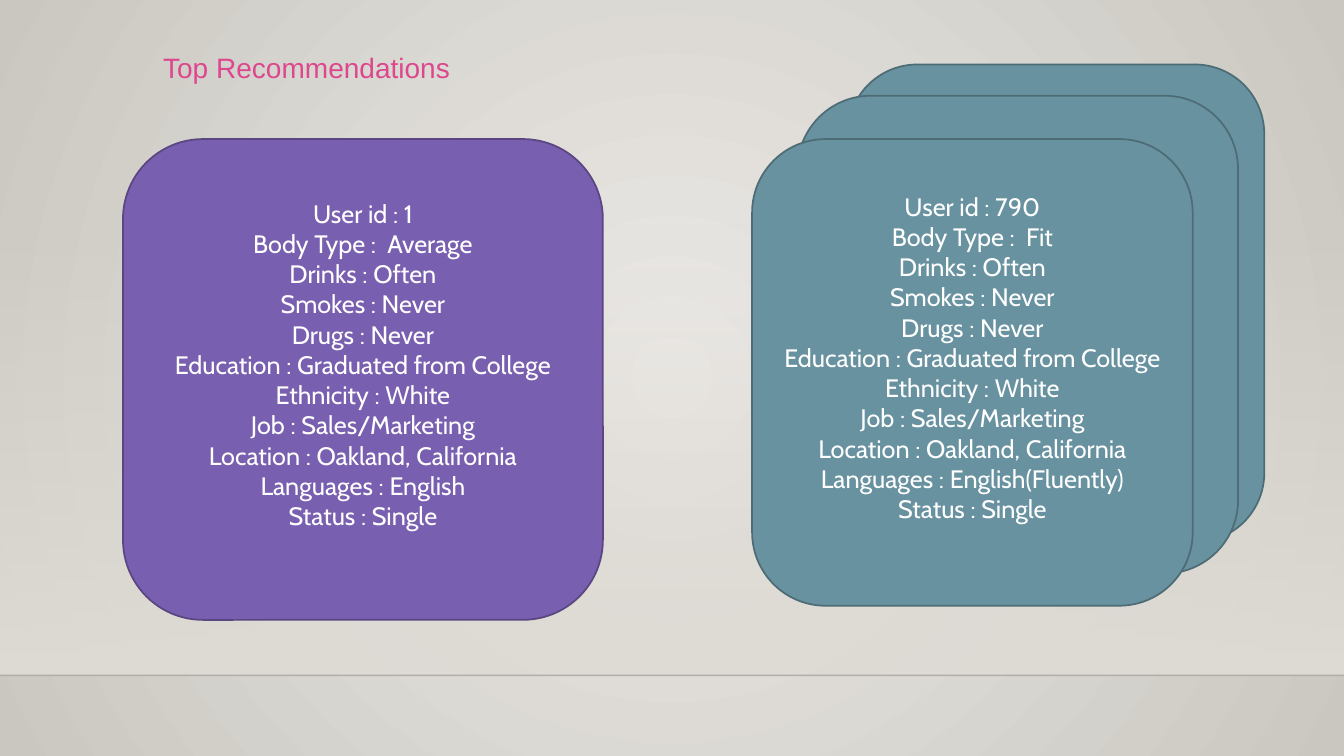
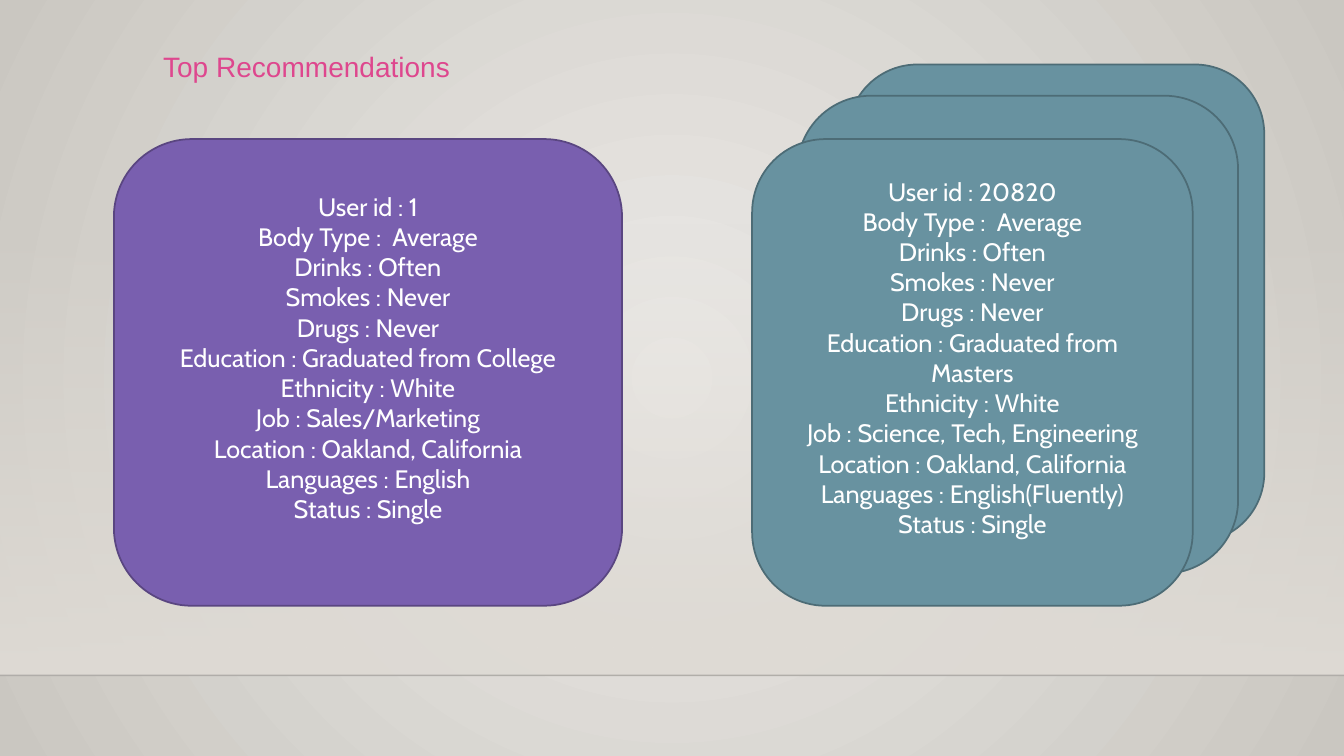
import pptx
import pptx.util
import pptx.dml.color
import pptx.enum.shapes
import pptx.enum.text
import pptx.oxml
import pptx.oxml.ns

Inches = pptx.util.Inches
Pt = pptx.util.Pt
RGBColor = pptx.dml.color.RGBColor
qn = pptx.oxml.ns.qn
MSO_SHAPE = pptx.enum.shapes.MSO_SHAPE

# Shared look
BACKDROP_CENTER = RGBColor(0xEC, 0xEA, 0xE7)
BACKDROP_EDGE = RGBColor(0xCA, 0xC7, 0xC1)
BAND = RGBColor(0xDF, 0xDB, 0xD5)
HORIZON = RGBColor(0x00, 0x00, 0x01)
PINK = RGBColor(0xDE, 0x47, 0x8E)
WHITE = RGBColor(0xFF, 0xFF, 0xFF)
TEAL = RGBColor(0x68, 0x92, 0xA0)
TEAL_EDGE = RGBColor(0x4D, 0x6C, 0x76)
PURPLE = RGBColor(0x79, 0x5F, 0xAF)
PURPLE_EDGE = RGBColor(0x5A, 0x46, 0x81)

SLIDE_WIDTH, SLIDE_HEIGHT = 13.33, 7.5
BAND_TOP, HORIZON_Y = 2.21, 6.7

# Teal cards from back to front: left, top, width, height
CARDS_BEHIND = [(8.41, 0.64, 4.13, 4.74), (7.91, 0.95, 4.37, 4.74)]
FRONT_CARD = (7.46, 1.38, 4.37, 4.63)


def profile(user_id, body="Average", education="College",
            job="Sales/Marketing", languages="English"):
    """Lines of one user's card."""
    return [
        f"User id : {user_id}",
        f"Body Type :  {body}",
        "Drinks : Often",
        "Smokes : Never",
        "Drugs : Never",
        f"Education : Graduated from {education}",
        "Ethnicity : White",
        f"Job : {job}",
        "Location : Oakland, California",
        f"Languages : {languages}",
        "Status : Single",
    ]


def set_gradient(fill, start, end):
    fill.gradient()
    for stop, color in zip(fill.gradient_stops, (start, end)):
        stop.color.rgb = color


def set_alpha(element, percent):
    """Give the first colour inside element an opacity."""
    color = next(element.iter(qn("a:srgbClr")))
    alpha = color.makeelement(qn("a:alpha"), {"val": str(percent * 1000)})
    color.append(alpha)


def set_backdrop(master):
    """Radial gradient behind every slide."""
    set_gradient(master.background.fill, BACKDROP_CENTER, BACKDROP_EDGE)
    gradient = next(master.element.iter(qn("a:gradFill")))
    radial = pptx.oxml.parse_xml(
        f'<a:path {pptx.oxml.ns.nsdecls("a")} path="circle">'
        '<a:fillToRect l="50000" t="50000" r="50000" b="50000"/></a:path>')
    gradient.replace(gradient.find(qn("a:lin")), radial)


def add_floor(slide):
    """Fading band that ends at the horizon line."""
    band = slide.shapes.add_shape(
        MSO_SHAPE.RECTANGLE, 0, Inches(BAND_TOP),
        Inches(SLIDE_WIDTH), Inches(HORIZON_Y - BAND_TOP))
    band.shadow.inherit = False
    band.line.fill.background()
    set_gradient(band.fill, BAND, BAND)
    band.fill.gradient_angle = 270
    set_alpha(band.element, 0)

    horizon = slide.shapes.add_connector(
        pptx.enum.shapes.MSO_CONNECTOR.STRAIGHT,
        0, Inches(HORIZON_Y), Inches(SLIDE_WIDTH), Inches(HORIZON_Y))
    horizon.line.color.rgb = HORIZON
    horizon.line.width = Pt(1)
    set_alpha(horizon.element, 20)
    properties = horizon.element.spPr
    properties.append(properties.makeelement(qn("a:effectLst"), {}))


def style_run(run, font, size, color):
    run.font.name = font
    run.font.size = Pt(size)
    run.font.color.rgb = color


def add_title(slide, text, top):
    title = slide.shapes.add_textbox(
        Inches(1.52), Inches(top), Inches(3.07), Inches(0.44))
    frame = title.text_frame
    frame.word_wrap = False
    frame.auto_size = pptx.enum.text.MSO_AUTO_SIZE.SHAPE_TO_FIT_TEXT
    frame.text = text
    style_run(frame.paragraphs[0].runs[0], "Arial", 20, PINK)


def add_card(slide, box, color, edge, lines=()):
    card = slide.shapes.add_shape(
        MSO_SHAPE.ROUNDED_RECTANGLE, *(Inches(length) for length in box))
    card.shadow.inherit = False
    card.fill.solid()
    card.fill.fore_color.rgb = color
    card.line.color.rgb = edge
    card.line.width = Pt(1.25)
    if not lines:
        return
    frame = card.text_frame
    frame.word_wrap = True
    frame.vertical_anchor = pptx.enum.text.MSO_ANCHOR.MIDDLE
    frame.margin_bottom = Inches(0.35)  # lifts the text by half a line
    frame.text = "\n".join(lines)
    for paragraph in frame.paragraphs:
        paragraph.alignment = pptx.enum.text.PP_ALIGN.CENTER
        style_run(paragraph.runs[0], "Cabin", 18, WHITE)


def add_match_slide(deck, title_top, user_box, match):
    """One user on the left, the recommended match on a stack of cards."""
    slide = deck.slides.add_slide(deck.slide_layouts[6])
    add_floor(slide)
    for box in CARDS_BEHIND:
        add_card(slide, box, TEAL, TEAL_EDGE)
    add_card(slide, FRONT_CARD, TEAL, TEAL_EDGE, match)
    add_title(slide, "Top Recommendations", title_top)
    add_card(slide, user_box, PURPLE, PURPLE_EDGE, profile(1))


def main():
    deck = pptx.Presentation()
    deck.slide_width = Inches(SLIDE_WIDTH)
    deck.slide_height = Inches(SLIDE_HEIGHT)
    set_backdrop(deck.slide_master)

    # First recommendation
    add_match_slide(
        deck, 0.45, (1.22, 1.38, 4.76, 4.77),
        profile(790, body="Fit", languages="English(Fluently)"))

    # Second recommendation
    add_match_slide(
        deck, 0.44, (1.13, 1.38, 5.04, 4.63),
        profile(20820, education="Masters",
                job="Science, Tech, Engineering",
                languages="English(Fluently)"))

    deck.save("out.pptx")


main()
